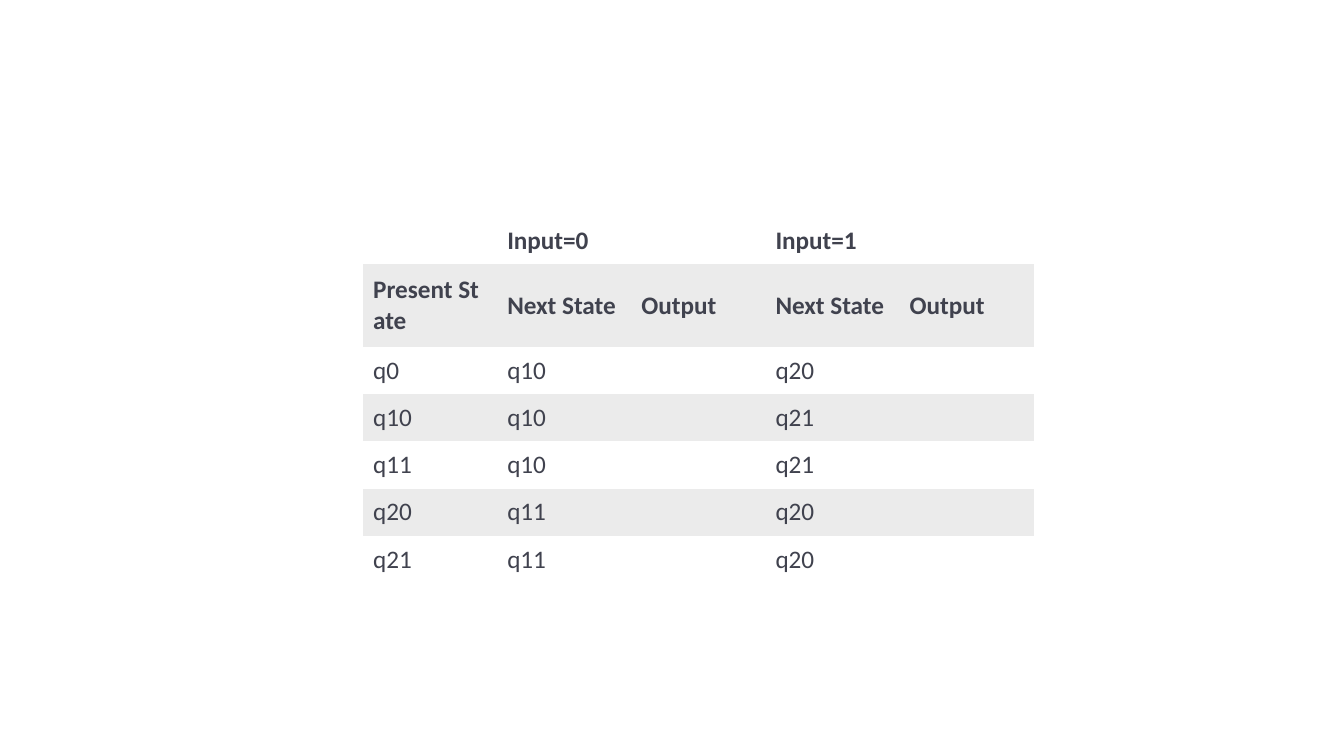
"""Build a slide with the state table of a finite state machine."""
from dataclasses import dataclass

from pptx import Presentation
from pptx.dml.color import RGBColor
from pptx.enum import text
from pptx.oxml import ns
from pptx.table import Table, _Cell
from pptx.util import Cm, Pt


@dataclass(frozen=True)
class Theme:
    font: str = "Calibri"
    size: Pt = Pt(18)
    ink: RGBColor = RGBColor(0x40, 0x42, 0x4E)
    bands: tuple[RGBColor, RGBColor] = (
        RGBColor(0xFF, 0xFF, 0xFF),
        RGBColor(0xEB, 0xEB, 0xEB),
    )
    plain_table: str = "{2D5ABB26-0587-4C30-8999-92F81FD0307C}"


@dataclass(frozen=True)
class StateRow:
    cells: tuple[str, ...]
    height: Cm = Cm(1.19)
    bold: bool = False


THEME = Theme()
COLUMN_WIDTH = Cm(3.38)
TRANSITIONS = (
    ("q0", "q10", "q20"),
    ("q10", "q10", "q21"),
    ("q11", "q10", "q21"),
    ("q20", "q11", "q20"),
    ("q21", "q11", "q20"),
)
HEADINGS = ("Present\u00a0State",) + ("Next\u00a0State", "Output") * 2
ROWS = [
    StateRow(("", "Input=0", "", "Input=1", ""), bold=True),
    StateRow(HEADINGS, height=Cm(2.08), bold=True),
    *(StateRow((state, on_zero, "", on_one, "")) for state, on_zero, on_one in TRANSITIONS),
]


def write_cell(cell: _Cell, words: str, *, fill: RGBColor, bold: bool) -> None:
    """Fill a cell and set its formatted text."""
    cell.fill.solid()
    cell.fill.fore_color.rgb = fill
    cell.vertical_anchor = text.MSO_ANCHOR.MIDDLE
    if words:
        span = cell.text_frame.paragraphs[0].add_run()
        span.text = words
        span.font.name = THEME.font
        span.font.size = THEME.size
        span.font.bold = bold
        span.font.color.rgb = THEME.ink


def fill_table(table: Table, rows: list[StateRow]) -> None:
    """Size the table, write its rows and join the input headings."""
    for column in table.columns:
        column.width = COLUMN_WIDTH
    for index, row in enumerate(rows):
        table.rows[index].height = row.height
        for cell, words in zip(table.rows[index].cells, row.cells):
            write_cell(cell, words, fill=THEME.bands[index % 2], bold=row.bold)
    for start in (1, 3):
        table.cell(0, start).merge(table.cell(0, start + 1))


def main() -> None:
    """Create the deck and save it."""
    deck = Presentation()
    deck.slide_width, deck.slide_height = Cm(33.87), Cm(19.05)
    page = deck.slides.add_slide(deck.slide_layouts[6])
    frame = page.shapes.add_table(
        len(ROWS), len(HEADINGS), Cm(9.15), Cm(5.47),
        COLUMN_WIDTH * len(HEADINGS), sum(row.height for row in ROWS),
    )
    style = next(frame.element.iter(ns.qn("a:tableStyleId")))
    style.text = THEME.plain_table
    fill_table(frame.table, ROWS)
    deck.save("out.pptx")


main()
